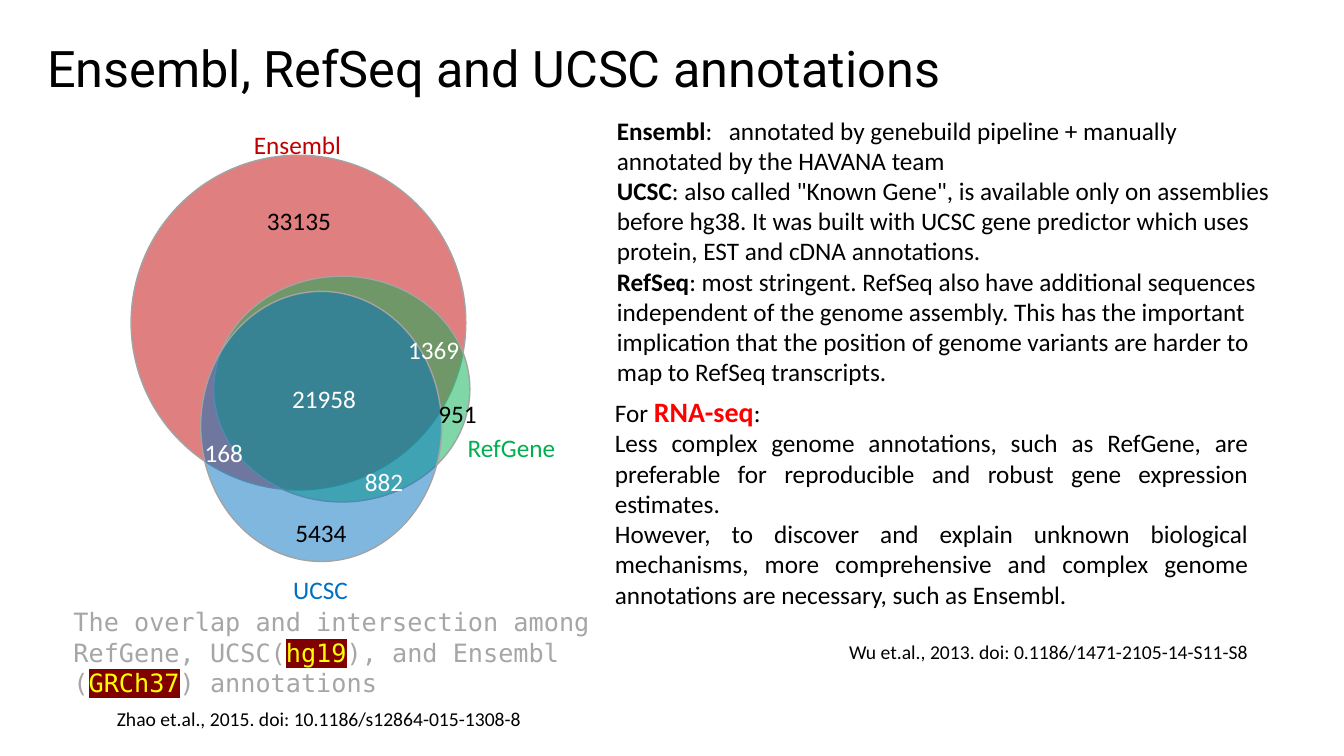
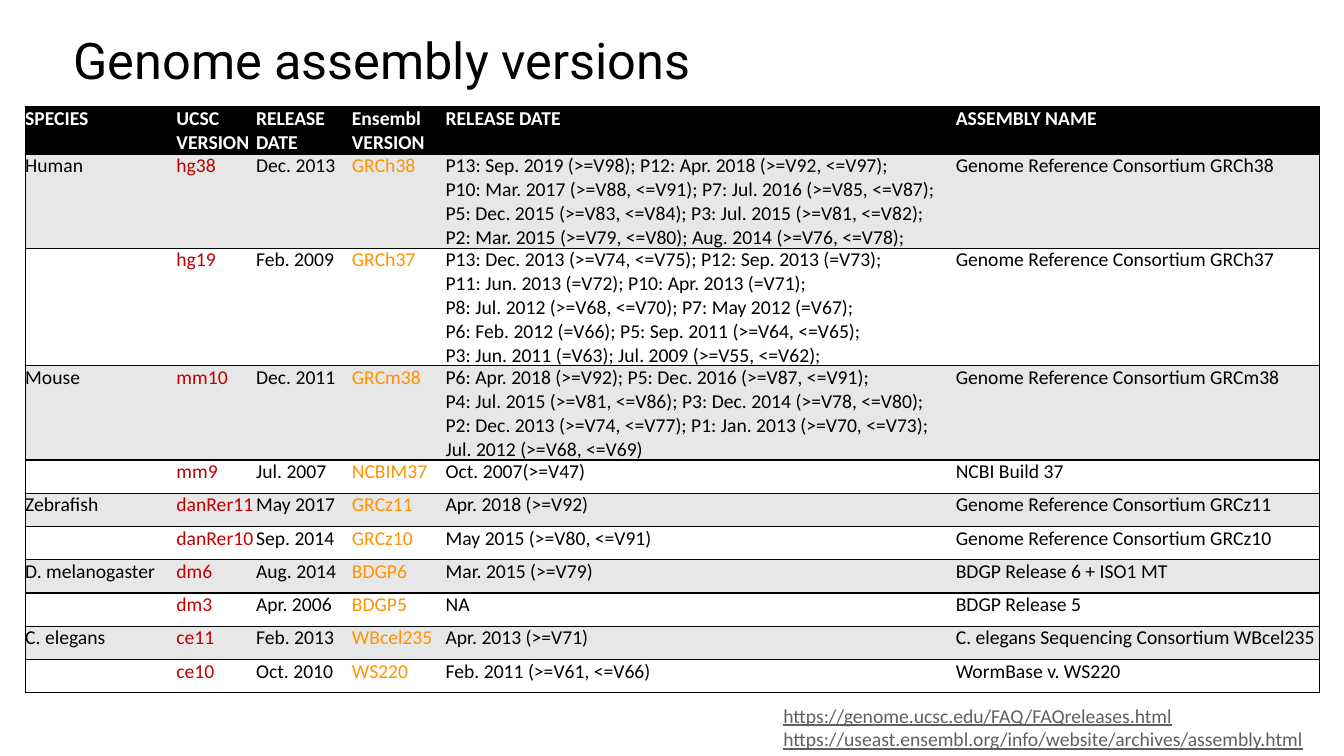
from dataclasses import dataclass, field
from typing import Any

from lxml import etree
from pptx import Presentation
from pptx import util as u
from pptx.dml import color as dml
from pptx.enum import shapes, text
from pptx.oxml import ns

BLACK, WHITE, GREY, BAND = "000000", "FFFFFF", "A6A6A6", "E7E7E7"
RED, GREEN, BLUE, ORANGE = "C00000", "00B050", "0070C0", "FF9300"
BRIGHT_RED, YELLOW, MAROON = "FF0000", "FFFF00", "800000"
OUTLINE, LINK = "A3A3A3", "5F5F5F"

BODY = {"name": "Calibri", "size": u.Pt(18), "color": BLACK}
TITLE = BODY | {"name": "Roboto", "size": u.Pt(36)}
SMALL = BODY | {"size": u.Pt(14)}
CAPTION = BODY | {"name": "DejaVu Sans Mono", "color": GREY}
MARKED = {"color": YELLOW, "highlight": MAROON}
BOLD = {"bold": True}


@dataclass
class Run:
    text: str
    style: dict[str, Any] = field(default_factory=dict)


@dataclass
class Paragraph:
    runs: list[Run]
    layout: dict[str, Any] = field(default_factory=dict)
    tab: float = 0


@dataclass
class Box:
    left: float
    top: float
    width: float
    height: float


@dataclass
class GeneSet:
    box: Box
    color: str


@dataclass
class VennLabel:
    text: str
    left: float
    top: float
    width: float
    color: str = BLACK


GENE_SETS = [
    GeneSet(Box(1.3, 1.54, 3.32, 3.32), RED),
    GeneSet(Box(2.12, 2.74, 2.54, 2.24), GREEN),
    GeneSet(Box(1.99, 2.89, 2.39, 2.68), BLUE),
]
VENN_LABELS = [
    VennLabel("Ensembl", 2.42, 1.23, 1.07, RED),
    VennLabel("UCSC", 2.81, 5.65, 0.75, BLUE),
    VennLabel("RefGene", 4.54, 4.24, 1.08, GREEN),
    VennLabel("21958", 2.8, 3.75, 0.84, WHITE),
    VennLabel("1369", 3.95, 3.27, 0.71, WHITE),
    VennLabel("951", 4.25, 3.9, 0.59),
    VennLabel("168", 1.93, 4.29, 0.59, WHITE),
    VennLabel("882", 3.52, 4.58, 0.59, WHITE),
    VennLabel("5434", 2.83, 5.08, 0.71),
    VennLabel("33135", 2.55, 1.99, 0.84),
]

COLUMN_WIDTHS = [1.5, 0.79, 0.95, 0.93, 5.06, 3.61]
COLUMN_COLORS = [BLACK, RED, BLACK, ORANGE, BLACK, BLACK]
ROW_HEIGHT = 0.33
ASSEMBLIES = [
    ("SPECIES", "UCSC VERSION", "RELEASE DATE", "Ensembl VERSION", "RELEASE DATE", "ASSEMBLY NAME"),
    ("Human", "hg38", "Dec. 2013", "GRCh38",
     "P13: Sep. 2019 (>=V98); P12: Apr. 2018 (>=V92, <=V97);\n"
     "P10: Mar. 2017 (>=V88, <=V91); P7: Jul. 2016 (>=V85, <=V87);\n"
     "P5: Dec. 2015 (>=V83, <=V84); P3: Jul. 2015 (>=V81, <=V82);\n"
     "P2: Mar. 2015 (>=V79, <=V80); Aug. 2014 (>=V76, <=V78);",
     "Genome Reference Consortium GRCh38"),
    ("", "hg19", "Feb. 2009", "GRCh37",
     "P13: Dec. 2013 (>=V74, <=V75); P12: Sep. 2013 (=V73);\n"
     "P11: Jun. 2013 (=V72); P10: Apr. 2013 (=V71);\n"
     "P8: Jul. 2012 (>=V68, <=V70); P7: May 2012 (=V67);\n"
     "P6: Feb. 2012 (=V66); P5: Sep. 2011 (>=V64, <=V65);\n"
     "P3: Jun. 2011 (=V63); Jul. 2009 (>=V55, <=V62);",
     "Genome Reference Consortium GRCh37"),
    ("Mouse", "mm10", "Dec. 2011", "GRCm38",
     "P6: Apr. 2018 (>=V92); P5: Dec. 2016 (>=V87, <=V91);\n"
     "P4: Jul. 2015 (>=V81, <=V86); P3: Dec. 2014 (>=V78, <=V80);\n"
     "P2: Dec. 2013 (>=V74, <=V77); P1: Jan. 2013 (>=V70, <=V73);\n"
     "Jul. 2012 (>=V68, <=V69)",
     "Genome Reference Consortium GRCm38"),
    ("", "mm9", "Jul. 2007", "NCBIM37", "Oct. 2007(>=V47)", "NCBI Build 37"),
    ("Zebrafish", "danRer11", "May 2017", "GRCz11", "Apr. 2018 (>=V92)",
     "Genome Reference Consortium GRCz11"),
    ("", "danRer10", "Sep. 2014", "GRCz10", "May 2015 (>=V80, <=V91)",
     "Genome Reference Consortium GRCz10"),
    ("D. melanogaster", "dm6", "Aug. 2014", "BDGP6", "Mar. 2015 (>=V79)",
     "BDGP Release 6 + ISO1 MT"),
    ("", "dm3", "Apr. 2006", "BDGP5", "NA", "BDGP Release 5"),
    ("C. elegans", "ce11", "Feb. 2013", "WBcel235", "Apr. 2013 (>=V71)",
     "C. elegans Sequencing Consortium WBcel235"),
    ("", "ce10", "Oct. 2010", "WS220", "Feb. 2011 (>=V61, <=V66)", "WormBase v. WS220"),
]


def rgb(value: str) -> dml.RGBColor:
    return dml.RGBColor.from_string(value)


def child(parent: Any, tag: str, **attributes: str) -> Any:
    return etree.SubElement(parent, ns.qn(tag), attributes)


def set_values(target: Any, values: dict[str, Any]) -> None:
    for name, value in values.items():
        setattr(target, name, value)


def paint(fill: Any, value: str) -> None:
    fill.solid()
    fill.fore_color.rgb = rgb(value)


def style_font(font: Any, style: dict[str, Any]) -> None:
    values = dict(style)
    paint(font.fill, values.pop("color"))
    values.pop("highlight", None)
    set_values(font, values)


def highlight(run: Any, value: str) -> None:
    properties = run._r.get_or_add_rPr()
    mark = child(properties, "a:highlight")
    child(mark, "a:srgbClr", val=value)
    properties.find(ns.qn("a:solidFill")).addnext(mark)


def write(frame: Any, paragraphs: list[Paragraph], style: dict[str, Any]) -> None:
    for index, content in enumerate(paragraphs):
        paragraph = frame.add_paragraph() if index else frame.paragraphs[0]
        if content.tab:
            stops = child(paragraph._p.get_or_add_pPr(), "a:tabLst")
            child(stops, "a:tab", pos=str(u.Inches(content.tab)), algn="l")
        set_values(paragraph, content.layout)
        for part in content.runs:
            run = paragraph.add_run()
            run.text = part.text
            run_style = style | part.style
            style_font(run.font, run_style)
            if "highlight" in run_style:
                highlight(run, run_style["highlight"])


def lines(content: str) -> list[Paragraph]:
    return [Paragraph([Run(line)]) for line in content.split("\n")]


def place(box: Box) -> tuple[int, ...]:
    return tuple(u.Inches(value) for value in (box.left, box.top, box.width, box.height))


def add_text(parent: Any, box: Box, paragraphs: list[Paragraph],
             style: dict[str, Any], wrap: bool = False) -> None:
    frame = parent.shapes.add_textbox(*place(box)).text_frame
    set_values(frame, {"word_wrap": wrap, "auto_size": text.MSO_AUTO_SIZE.SHAPE_TO_FIT_TEXT})
    write(frame, paragraphs, style)


def add_titled_slide(presentation: Any, title: str, box: Box) -> Any:
    slide = presentation.slides.add_slide(presentation.slide_layouts[6])
    add_text(slide, box, lines(title), TITLE)
    return slide


def add_gene_set(parent: Any, gene_set: GeneSet) -> None:
    shape = parent.shapes.add_shape(shapes.MSO_SHAPE.OVAL, *place(gene_set.box))
    shape.shadow.inherit = False
    paint(shape.fill, gene_set.color)
    tint = shape._element.spPr.find(ns.qn("a:solidFill"))[0]
    child(tint, "a:alpha", val="50000")
    paint(shape.line.fill, OUTLINE)
    shape.line.width = u.Pt(1)


def add_venn(slide: Any) -> None:
    group = slide.shapes.add_group_shape()
    for gene_set in GENE_SETS:
        add_gene_set(group, gene_set)
    for label in VENN_LABELS:
        add_text(group, Box(label.left, label.top, label.width, 0.4),
                 lines(label.text), BODY | {"color": label.color})


def add_borders(cell: Any, visible: set[str]) -> None:
    properties = cell._tc.get_or_add_tcPr()
    for side in "LRTB":
        border = child(properties, f"a:ln{side}", w=str(u.Pt(1)))
        if side in visible:
            child(child(border, "a:solidFill"), "a:srgbClr", val=BLACK)
        else:
            child(border, "a:noFill")


def add_assembly_table(slide: Any) -> None:
    box = Box(0.25, 1.06, sum(COLUMN_WIDTHS), ROW_HEIGHT * len(ASSEMBLIES))
    table = slide.shapes.add_table(len(ASSEMBLIES), len(COLUMN_WIDTHS), *place(box)).table
    set_values(table, {"first_row": False, "horz_banding": False})
    for column, width in zip(table.columns, COLUMN_WIDTHS):
        column.width = u.Inches(width)
    sides = {0: {"L"}, len(COLUMN_WIDTHS) - 1: {"R"}}
    margins = dict.fromkeys(("margin_left", "margin_top", "margin_right", "margin_bottom"), 0)
    for row_index, values in enumerate(ASSEMBLIES):
        table.rows[row_index].height = u.Inches(ROW_HEIGHT)
        header = row_index == 0
        background = BLACK if header else BAND if row_index % 2 else WHITE
        for column_index, value in enumerate(values):
            cell = table.cell(row_index, column_index)
            set_values(cell, margins)
            add_borders(cell, {"T", "B"} | sides.get(column_index, set()))
            paint(cell.fill, background)
            color = WHITE if header else COLUMN_COLORS[column_index]
            style = SMALL | {"color": color, "bold": header}
            if value:
                write(cell.text_frame, lines(value), style)
            else:
                style_font(cell.text_frame.paragraphs[0].font, style)


def build_annotations(presentation: Any) -> None:
    slide = add_titled_slide(presentation, "Ensembl, RefSeq and UCSC annotations",
                             Box(0.37, 0.32, 11.77, 0.71))
    add_venn(slide)
    add_text(slide, Box(1.06, 6.96, 4.25, 0.34),
             lines("Zhao et.al., 2015. doi: 10.1186/s12864-015-1308-8"), SMALL)
    justified = {"alignment": text.PP_ALIGN.JUSTIFY}
    add_text(slide, Box(6, 3.86, 6.48, 2.79), [
        Paragraph([Run("For "), Run("RNA-seq", BOLD | {"size": u.Pt(20), "color": BRIGHT_RED}),
                   Run(":")]),
        Paragraph([Run("Less complex genome annotations, such as RefGene, are preferable for "
                       "reproducible and robust gene expression estimates.")], justified),
        Paragraph([Run("However, to discover and explain unknown biological mechanisms, more "
                       "comprehensive and complex genome annotations are necessary, such as "
                       "Ensembl.")], justified),
        Paragraph([Run("Wu et.al., 2013. doi: 0.1186/1471-2105-14-S11-S8", {"size": u.Pt(14)})],
                  {"alignment": text.PP_ALIGN.RIGHT, "space_before": u.Pt(22)}),
    ], BODY, wrap=True)
    add_text(slide, Box(6.02, 1.09, 6.68, 2.83), [
        Paragraph([Run("Ensembl", BOLD), Run(":\tannotated by genebuild pipeline + manually "
                                             "annotated by the HAVANA team")], tab=1.11),
        Paragraph([Run("UCSC", BOLD),
                   Run(': also called "Known Gene", is available only on assemblies before hg38. '
                       "It was built with UCSC gene predictor which uses protein, EST and cDNA "
                       "annotations.")]),
        Paragraph([Run("RefSeq", BOLD),
                   Run(": most stringent. RefSeq also have additional sequences independent of "
                       "the genome assembly. This has the important implication that the position "
                       "of genome variants are harder to map to RefSeq transcripts.")]),
    ], BODY, wrap=True)
    add_text(slide, Box(0.63, 5.97, 5.32, 1.01), [
        Paragraph([Run("The overlap and intersection among RefGene, UCSC("), Run("hg19", MARKED),
                   Run("), and Ensembl ("), Run("GRCh37", MARKED), Run(") annotations")]),
    ], CAPTION, wrap=True)


def build_assemblies(presentation: Any) -> None:
    slide = add_titled_slide(presentation, "Genome assembly versions", Box(0.63, 0.24, 7.79, 0.71))
    add_assembly_table(slide)
    add_text(slide, Box(7.67, 6.93, 5.41, 0.57),
             lines("https://genome.ucsc.edu/FAQ/FAQreleases.html\n"
                   "https://useast.ensembl.org/info/website/archives/assembly.html"),
             SMALL | {"color": LINK, "underline": True})


def main() -> None:
    presentation = Presentation()
    set_values(presentation, {"slide_width": u.Inches(13.33), "slide_height": u.Inches(7.5)})
    build_annotations(presentation)
    build_assemblies(presentation)
    presentation.save("out.pptx")


if __name__ == "__main__":
    main()
